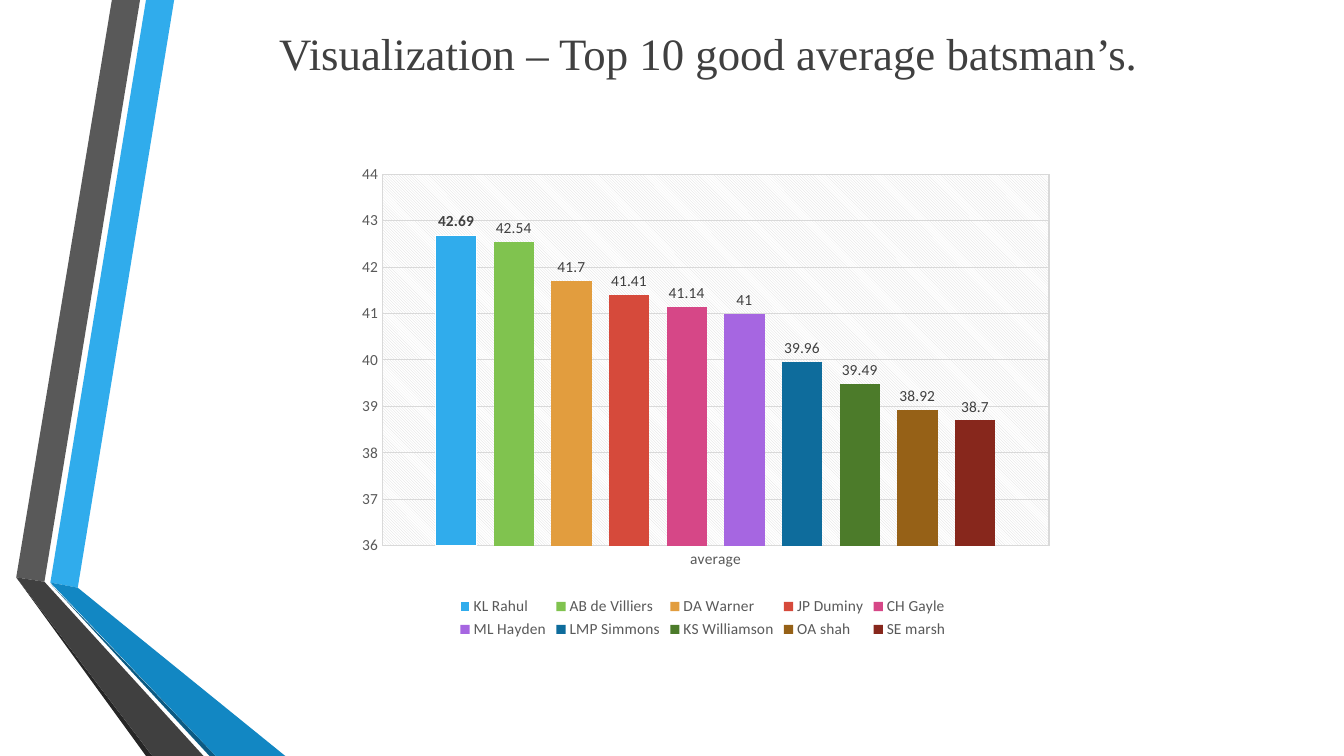
"""Build a slide with a column chart of the ten best batting averages."""
import lxml.etree
import pptx
import pptx.chart.data
import pptx.dml.color
import pptx.enum.chart
import pptx.enum.text
import pptx.oxml
import pptx.oxml.ns
import pptx.util

Cm = pptx.util.Cm
Pt = pptx.util.Pt

TITLE = "Visualization – Top 10 good average batsman’s."
CATEGORY = "average"
BATSMEN = [
    ("KL Rahul", 42.69, "30ACEC"),
    ("AB de Villiers", 42.54, "80C34F"),
    ("DA Warner", 41.7, "E29D3E"),
    ("JP Duminy", 41.41, "D64A3B"),
    ("CH Gayle", 41.14, "D64787"),
    ("ML Hayden", 41, "A666E1"),
    ("LMP Simmons", 39.96, "0E6C9C"),
    ("KS Williamson", 39.49, "4C7B2A"),
    ("OA shah", 38.92, "966117"),
    ("SE marsh", 38.7, "87271C"),
]
COLORS = {
    "text": "404040", "axis": "595959", "grid": "D9D9D9", "white": "FFFFFF",
    "blue": "30ACEC", "deep blue": "1287C3", "navy": "0C5A82",
    "grey": "595959", "dark grey": "404040", "black": "262626",
}
RIBBONS = [
    ("blue", [(1.27, 14.68), (1.96, 14.81), (4.39, 0), (3.68, 0)]),
    ("grey", [(3.53, 0), (2.82, 0), (0.41, 14.55), (1.12, 14.66)]),
    ("black", [(0.41, 14.55), (3.68, 19.05), (3.84, 19.05)]),
    ("navy", [(1.27, 14.71), (5.28, 19.05), (5.44, 19.05)]),
    ("deep blue", [(1.27, 14.68), (5.44, 19.05), (7.19, 19.05), (1.96, 14.81)]),
    ("dark grey", [(5.13, 19.05), (1.12, 14.66), (0.41, 14.55), (3.84, 19.05)]),
]
TITLE_BOX = (6.78, 0.53, 25.68, 1.63)
CHART_BOX = (8.61, 3.45, 18.21, 12.75)
PLOT_BOX = {"x": 0.056, "y": 0.074, "w": 0.923, "h": 0.734}


def rgb(value):
    return pptx.dml.color.RGBColor.from_string(value)


def set_font(font, size=11, color="axis", name="Calibri", bold=False):
    font.size, font.name, font.bold = Pt(size), name, bold
    font.color.rgb = rgb(COLORS[color])


def put_text(tf, text, align=pptx.enum.text.PP_ALIGN.LEFT, **style):
    p = tf.paragraphs[0]
    p.alignment = align
    r = p.add_run()
    r.text = text
    set_font(r.font, **style)


def set_line(line, color):
    line.color.rgb = rgb(COLORS[color])
    line.width = Pt(0.75)


def add_ribbon(s, color, points):
    start, *rest = [(Cm(x), Cm(y)) for x, y in points]
    builder = s.shapes.build_freeform(*start)
    builder.add_line_segments(rest, close=True)
    sp = builder.convert_to_shape()
    sp.fill.solid()
    sp.fill.fore_color.rgb = rgb(COLORS[color])
    sp.line.fill.background()
    sp.shadow.inherit = False


def format_plot_area(chart):
    qn = pptx.oxml.ns.qn
    area = chart.element.find(".//" + qn("c:plotArea"))
    for old in area.findall(qn("c:layout")):
        area.remove(old)
    layout = lxml.etree.Element(qn("c:layout"))
    manual = lxml.etree.SubElement(layout, qn("c:manualLayout"))
    settings = {"layoutTarget": "inner", "xMode": "edge", "yMode": "edge", **PLOT_BOX}
    for tag, value in settings.items():
        lxml.etree.SubElement(manual, qn("c:" + tag)).set("val", str(value))
    area.insert(0, layout)
    area.append(pptx.oxml.parse_xml(
        f'<c:spPr {pptx.oxml.ns.nsdecls("c", "a")}><a:pattFill prst="ltDnDiag">'
        f'<a:fgClr><a:srgbClr val="{COLORS["grid"]}"/></a:fgClr>'
        f'<a:bgClr><a:srgbClr val="{COLORS["white"]}"/></a:bgClr>'
        '</a:pattFill><a:ln><a:noFill/></a:ln></c:spPr>'))


def add_chart(s):
    enum = pptx.enum.chart
    data = pptx.chart.data.CategoryChartData()
    data.categories = [CATEGORY]
    for name, average, _ in BATSMEN:
        data.add_series(name, [average])
    chart = s.shapes.add_chart(
        enum.XL_CHART_TYPE.COLUMN_CLUSTERED, *map(Cm, CHART_BOX), data).chart
    set_font(chart.font)
    chart.has_title = False
    chart.has_legend = True
    chart.legend.position = enum.XL_LEGEND_POSITION.BOTTOM
    chart.legend.include_in_layout = False
    set_font(chart.legend.font)

    for axis in (chart.category_axis, chart.value_axis):
        axis.major_tick_mark = axis.minor_tick_mark = enum.XL_TICK_MARK.NONE
        axis.has_major_gridlines = True
        set_line(axis.major_gridlines.format.line, "grid")
        set_font(axis.tick_labels.font)
    set_line(chart.category_axis.format.line, "grid")
    chart.value_axis.format.line.fill.background()
    chart.value_axis.minimum_scale = 36
    chart.value_axis.maximum_scale = 44
    chart.value_axis.major_unit = 1

    plot = chart.plots[0]
    plot.gap_width, plot.overlap = 267, -43
    plot.vary_by_categories = False
    for i, (series, (_, _, color)) in enumerate(zip(plot.series, BATSMEN)):
        series.format.fill.solid()
        series.format.fill.fore_color.rgb = rgb(color)
        labels = series.data_labels
        labels.show_value = True
        labels.position = enum.XL_LABEL_POSITION.OUTSIDE_END
        set_font(labels.font, color="text", bold=i == 0)
    set_line(plot.series[0].format.line, "white")
    format_plot_area(chart)


def main():
    prs = pptx.Presentation()
    prs.slide_width, prs.slide_height = Cm(33.87), Cm(19.05)
    s = prs.slides.add_slide(prs.slide_layouts[5])
    for color, points in RIBBONS:
        add_ribbon(s, color, points)
    title = s.shapes.title
    title.left, title.top, title.width, title.height = map(Cm, TITLE_BOX)
    tf = title.text_frame
    tf.word_wrap = True
    tf.auto_size = pptx.enum.text.MSO_AUTO_SIZE.SHAPE_TO_FIT_TEXT
    tf.vertical_anchor = pptx.enum.text.MSO_ANCHOR.TOP
    put_text(tf, TITLE, size=32, color="text", name="Times New Roman")
    add_chart(s)
    prs.save("out.pptx")


if __name__ == "__main__":
    main()
